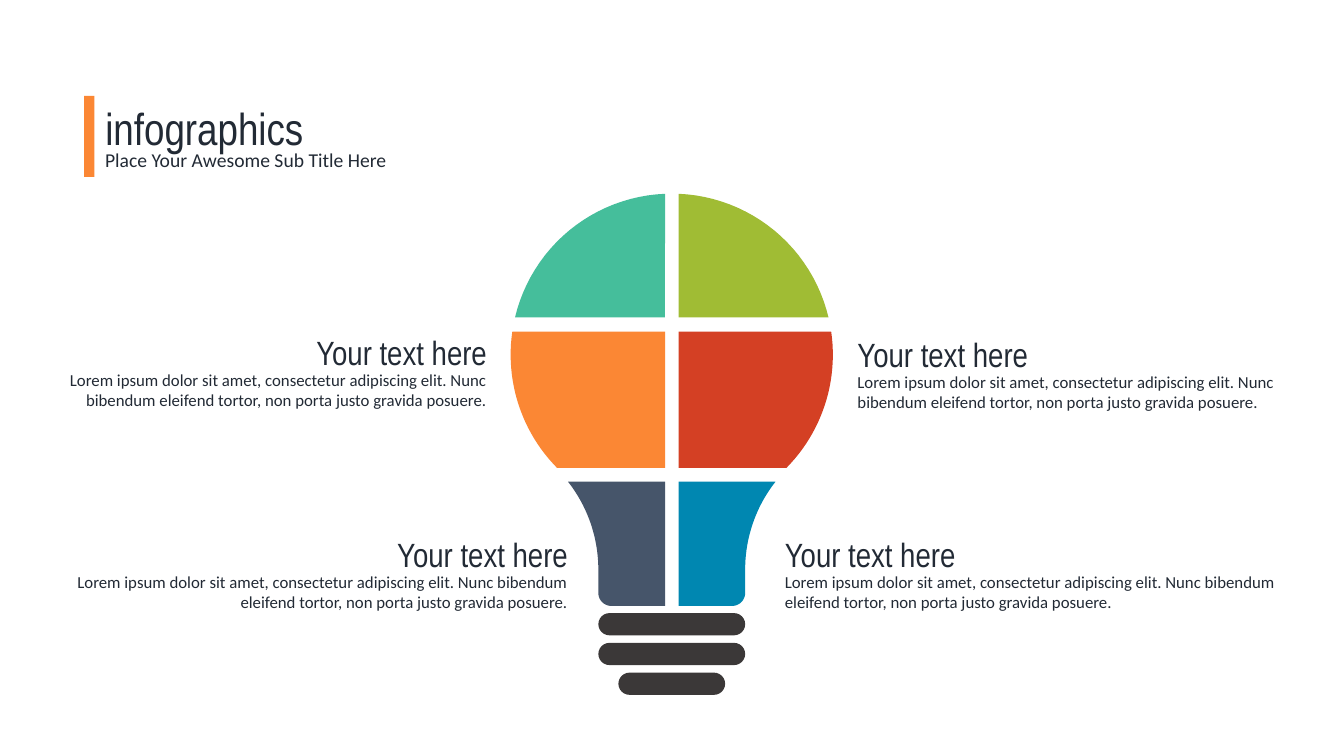
from math import acos, asin, cos, pi, sin

from pptx import Presentation
from pptx import util as u
from pptx.dml.color import RGBColor
from pptx.enum import shapes, text

INK = "222A35"
ORANGE = "FB8734"
LOREM = ("Lorem ipsum dolor sit amet, consectetur adipiscing elit. "
         "Nunc bibendum eleifend tortor, non porta justo gravida posuere.")


def paint(shape, color):
    shape.shadow.inherit = False
    shape.fill.solid()
    shape.fill.fore_color.rgb = RGBColor.from_string(color)
    shape.line.fill.background()


def write(shape, words, font, size, align=text.PP_ALIGN.LEFT):
    frame = shape.text_frame
    frame.word_wrap = True
    frame.auto_size = text.MSO_AUTO_SIZE.NONE
    frame.vertical_anchor = text.MSO_ANCHOR.TOP
    frame.text = words
    paragraph = frame.paragraphs[0]
    paragraph.alignment = align
    paragraph.font.name = font
    paragraph.font.size = u.Pt(size)
    paragraph.font.color.rgb = RGBColor.from_string(INK)


presentation = Presentation()
presentation.slide_width = u.Cm(33.87)
presentation.slide_height = u.Cm(19.05)
slide = presentation.slides.add_slide(presentation.slide_layouts[5])

# Heading with accent bar
title = slide.shapes.title
title.left, title.top, title.width, title.height = u.Cm(2.4), u.Cm(2.42), u.Cm(10.95), u.Cm(1.63)
write(title, "infographics", "Arial Narrow", 32)
subtitle = slide.shapes.add_textbox(u.Cm(2.4), u.Cm(3.6), u.Cm(10.95), u.Cm(0.86))
write(subtitle, "Place Your Awesome Sub Title Here", "Calibri", 14)
accent = slide.shapes.add_shape(shapes.MSO_SHAPE.RECTANGLE,
                                u.Cm(2.12), u.Cm(2.42), u.Cm(0.26), u.Cm(2.04))
paint(accent, ORANGE)

# Bulb geometry in cm; x is measured outward from the vertical axis
axis, half_gap = 16.93, 0.17
globe_y, globe_radius = 8.94, 4.06
top_end, middle_start, middle_end, neck_start, neck_end = 8.0, 8.36, 11.79, 12.14, 15.27
neck_half, curve_y, curve_radius, corner = 1.85, 14.35, 3.58, 0.33

# Each arc: centre x, centre y, radius, start angle, end angle
top_arc = (0, globe_y, globe_radius,
           asin((top_end - globe_y) / globe_radius), -acos(half_gap / globe_radius))
middle_arc = (0, globe_y, globe_radius,
              asin((middle_start - globe_y) / globe_radius),
              asin((middle_end - globe_y) / globe_radius))
neck_arc = (neck_half + curve_radius, curve_y, curve_radius,
            pi + asin((curve_y - neck_start) / curve_radius), pi)
corner_arc = (neck_half - corner, neck_end - corner, corner, 0, pi / 2)

# Each piece: inner edge top and bottom, outer arcs, left and right colours
pieces = [
    (None, top_end, [top_arc], "45BE9B", "A0BC34"),
    (middle_start, middle_end, [middle_arc], ORANGE, "D44024"),
    (neck_start, neck_end, [neck_arc, corner_arc], "46556A", "0087B1"),
]
steps = 24
for top, bottom, arcs, left_color, right_color in pieces:
    outline = [(x + radius * cos(angle), y + radius * sin(angle))
               for x, y, radius, start, end in arcs
               for angle in (start + (end - start) * i / steps for i in range(steps + 1))]
    outline.append((half_gap, bottom))
    if top is not None:
        outline.append((half_gap, top))
    for side, color in ((-1, left_color), (1, right_color)):
        points = [(u.Cm(axis + side * x), u.Cm(y)) for x, y in outline]
        builder = slide.shapes.build_freeform(*points[0])
        builder.add_line_segments(points[1:], close=True)
        paint(builder.convert_to_shape(), color)

# Screw base
for row, width in enumerate((3.7, 3.7, 2.69)):
    ring = slide.shapes.add_shape(shapes.MSO_SHAPE.ROUNDED_RECTANGLE, u.Cm(axis - width / 2),
                                  u.Cm(15.45 + 0.75 * row), u.Cm(width), u.Cm(0.56))
    ring.adjustments[0] = 0.5
    paint(ring, "3B3838")

# Captions: left, top, width, alignment
captions = [
    (0.66, 8.24, 11.86, text.PP_ALIGN.RIGHT),
    (21.36, 8.29, 11.86, text.PP_ALIGN.LEFT),
    (0.89, 13.34, 13.67, text.PP_ALIGN.RIGHT),
    (19.53, 13.34, 13.67, text.PP_ALIGN.LEFT),
]
for left, top, width, align in captions:
    for offset, words, font, size in ((0, "Your text here", "Arial Narrow", 24),
                                      (0.94, LOREM, "Calibri", 12)):
        box = slide.shapes.add_textbox(u.Cm(left), u.Cm(top + offset), u.Cm(width), u.Cm(1.27))
        write(box, words, font, size, align)

presentation.save("out.pptx")
